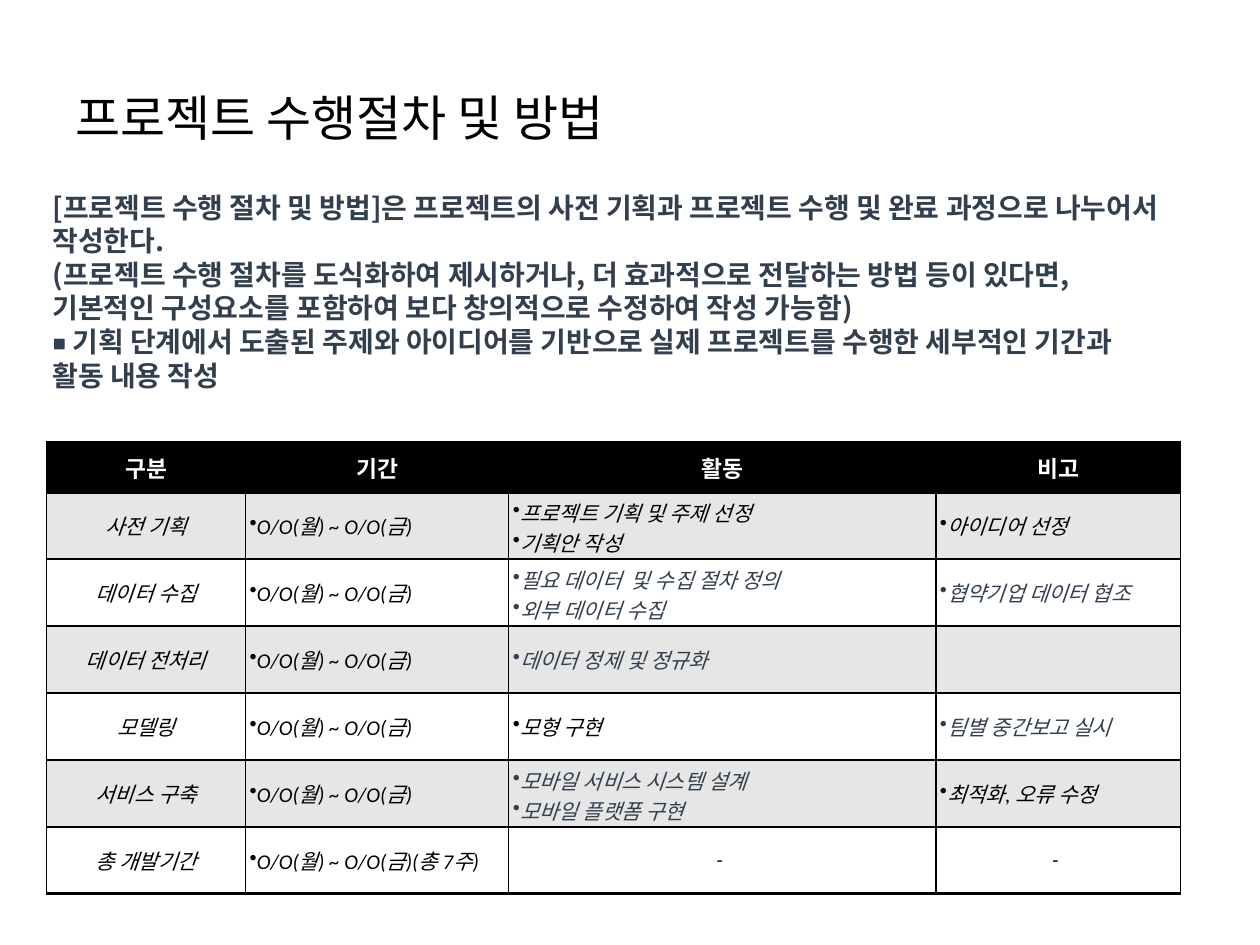
from dataclasses import dataclass

from lxml import etree
from pptx import Presentation
from pptx import util as u
from pptx.dml.color import RGBColor
from pptx.enum import text
from pptx.oxml import ns


@dataclass(frozen=True)
class Theme:
    black: RGBColor = RGBColor(0x00, 0x00, 0x00)
    white: RGBColor = RGBColor(0xFF, 0xFF, 0xFF)
    slate: RGBColor = RGBColor(0x32, 0x3F, 0x4F)
    band: RGBColor = RGBColor(0xE6, 0xE6, 0xE6)
    korean: str = "Noto Sans CJK KR"
    latin: str = "Calibri"
    title_size: int = 28
    guide_size: int = 16
    header_size: int = 13
    body_size: int = 12
    thin: float = 0.75
    thick: float = 2


THEME = Theme()
TITLE = "프로젝트 수행절차 및 방법"
GUIDE = [
    "[프로젝트 수행 절차 및 방법]은 프로젝트의 사전 기획과 프로젝트 수행 및 완료 과정으로 나누어서 작성한다.",
    "(프로젝트 수행 절차를 도식화하여 제시하거나, 더 효과적으로 전달하는 방법 등이 있다면,",
    "기본적인 구성요소를 포함하여 보다 창의적으로 수정하여 작성 가능함)",
    "◾ 기획 단계에서 도출된 주제와 아이디어를 기반으로 실제 프로젝트를 수행한 세부적인 기간과",
    "활동 내용 작성",
]
PERIOD = "O/O(월) ~ O/O(금)"
SCHEDULE = [
    ("구분", "기간", "활동", "비고"),
    ("사전 기획", PERIOD, "프로젝트 기획 및 주제 선정\n기획안 작성", "아이디어 선정"),
    ("데이터 수집", PERIOD, "필요 데이터  및 수집 절차 정의\n외부 데이터 수집", "협약기업 데이터 협조"),
    ("데이터 전처리", PERIOD, "데이터 정제 및 정규화", ""),
    ("모델링", PERIOD, "모형 구현", "팀별 중간보고 실시"),
    ("서비스 구축", PERIOD, "모바일 서비스 시스템 설계\n모바일 플랫폼 구현", "최적화, 오류 수정"),
    ("총 개발기간", PERIOD + "(총 7주)", "-", "-"),
]
SLATE_CELLS = {(2, 2), (2, 3), (3, 2), (4, 3), (5, 2)}
COLUMN_WIDTHS = (4.01, 5.31, 8.61, 4.93)
HEADER_HEIGHT, ROW_HEIGHT = 1, 1.35


def style_runs(paragraph, latin, size, color, bold=False, italic=False):
    for run in paragraph.runs:
        font = run.font
        font.name, font.size = latin, u.Pt(size)
        font.bold, font.italic = bold, italic
        font.color.rgb = color
        east_asian = etree.Element(ns.qn("a:ea"), typeface=THEME.korean)
        font._element.find(ns.qn("a:latin")).addnext(east_asian)


def add_text(slide, box, lines, size, color, bold=False, inset=0):
    frame = slide.shapes.add_textbox(*map(u.Cm, box)).text_frame
    frame.word_wrap = True
    frame.vertical_anchor = text.MSO_ANCHOR.MIDDLE
    frame.margin_top = frame.margin_bottom = u.Cm(inset)
    frame.text = "\n".join(lines)
    for paragraph in frame.paragraphs:
        style_runs(paragraph, THEME.korean, size, color, bold)


def add_title(slide, box):
    add_text(slide, box, [TITLE], THEME.title_size, THEME.black, inset=0.13)


def add_guide(slide, box):
    add_text(slide, box, GUIDE, THEME.guide_size, THEME.slate, bold=True)


def set_borders(cell, top, bottom):
    properties = cell._tc.get_or_add_tcPr()
    widths = {"lnL": THEME.thin, "lnR": THEME.thin, "lnT": top, "lnB": bottom}
    for side, width in widths.items():
        line = etree.SubElement(properties, ns.qn(f"a:{side}"), w=str(u.Pt(width)))
        fill = etree.SubElement(line, ns.qn("a:solidFill"))
        etree.SubElement(fill, ns.qn("a:srgbClr"), val=str(THEME.black))


def set_bullet(paragraph):
    properties = paragraph._p.get_or_add_pPr()
    properties.set("marL", "0")
    properties.set("indent", "0")
    etree.SubElement(properties, ns.qn("a:buChar"), char="•")


def fill_cell(cell, row, column, content):
    header = row == 0
    last = row == len(SCHEDULE) - 1
    set_borders(
        cell,
        THEME.thick if row <= 1 else THEME.thin,
        THEME.thick if header or last else THEME.thin,
    )
    cell.fill.solid()
    striped = THEME.band if row % 2 else THEME.white
    cell.fill.fore_color.rgb = THEME.black if header else striped
    cell.vertical_anchor = text.MSO_ANCHOR.MIDDLE
    label = header or column == 0
    cell.margin_left = u.Cm(0.23 if label else 0.08)
    cell.margin_right = u.Cm(0.23 if label else 0.2)
    cell.margin_top = cell.margin_bottom = u.Cm(0.1)
    cell.text_frame.text = content
    color = THEME.slate if (row, column) in SLATE_CELLS else THEME.black
    for paragraph in cell.text_frame.paragraphs:
        if label or content == "-":
            paragraph.alignment = text.PP_ALIGN.CENTER
        elif content:
            set_bullet(paragraph)
        style_runs(
            paragraph,
            THEME.latin,
            THEME.header_size if header else THEME.body_size,
            THEME.white if header else color,
            bold=header,
            italic=not header,
        )


def add_schedule(slide, box):
    table = slide.shapes.add_table(
        len(SCHEDULE), len(COLUMN_WIDTHS), *map(u.Cm, box)
    ).table
    for column, width in zip(table.columns, COLUMN_WIDTHS):
        column.width = u.Cm(width)
    for row, entries in enumerate(SCHEDULE):
        table.rows[row].height = u.Cm(ROW_HEIGHT if row else HEADER_HEIGHT)
        for column, content in enumerate(entries):
            fill_cell(table.cell(row, column), row, column, content)


def main():
    deck = Presentation()
    deck.slide_width, deck.slide_height = u.Cm(25.4), u.Cm(19.05)
    slide = deck.slides.add_slide(deck.slide_layouts[6])
    add_title(slide, (1.27, 0.76, 22.86, 3.18))
    table_height = HEADER_HEIGHT + ROW_HEIGHT * (len(SCHEDULE) - 1)
    add_schedule(slide, (0.94, 8.92, sum(COLUMN_WIDTHS), table_height))
    add_guide(slide, (0.81, 3.81, 24, 4.11))
    deck.save("out.pptx")


if __name__ == "__main__":
    main()
